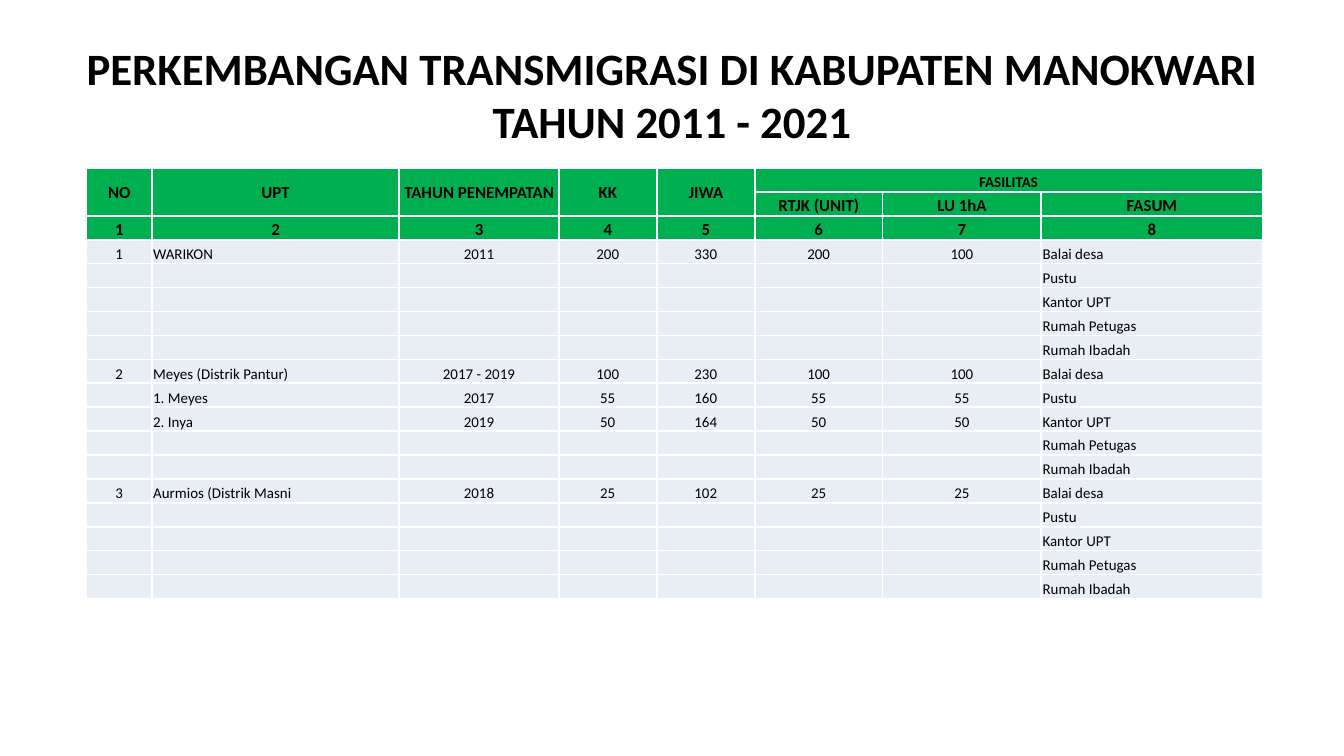
from lxml import etree
from pptx import Presentation
from pptx.dml.color import RGBColor
from pptx.enum.text import MSO_ANCHOR, MSO_AUTO_SIZE, PP_ALIGN
from pptx.oxml.ns import qn
from pptx.util import Pt

MIDDLE, BOTTOM = MSO_ANCHOR.MIDDLE, MSO_ANCHOR.BOTTOM
LEFT, CENTER = PP_ALIGN.LEFT, PP_ALIGN.CENTER
NO_FIT = MSO_AUTO_SIZE.NONE

TITLE = "PERKEMBANGAN TRANSMIGRASI DI KABUPATEN MANOKWARI TAHUN 2011 - 2021"
HEADS = ["NO", "UPT", "TAHUN PENEMPATAN", "KK", "JIWA"]
GROUP = "FASILITAS"
SUBS = ["RTJK (UNIT)", "LU 1hA", "FASUM"]
FASUM = ["Balai desa", "Pustu", "Kantor UPT", "Rumah Petugas", "Rumah Ibadah"]
# Each unit: rows of no, UPT, year, KK, jiwa, RTJK, LU
UNITS = [
    [("1", "WARIKON", "2011", "200", "330", "200", "100")],
    [("2", "Meyes (Distrik Pantur)", "2017 - 2019", "100", "230", "100", "100"),
     ("", "1. Meyes", "2017", "55", "160", "55", "55"),
     ("", "2. Inya", "2019", "50", "164", "50", "50")],
    [("3", "Aurmios (Distrik Masni", "2018", "25", "102", "25", "25")],
]

WIDTHS = [35, 132.5, 85.5, 52.5, 52.5, 68.5, 85, 118.5]
TOP, SIDE, ROW = 90, 46.4, 12.84
LEFT_COLS = (1, 7)
THEME = {
    "font": "Calibri", "ink": "000000", "head": "00B050",
    "body": "E9EDF4", "rule": "FFFFFF",
    "title": 24, "label": 9, "text": 8,
}


def color(name):
    return RGBColor.from_string(THEME[name])


def write(para, text, size, bold):
    run = para.add_run()
    run.text = text
    font = run.font
    font.name, font.size, font.bold = THEME["font"], Pt(THEME[size]), bold
    font.color.rgb = color("ink")


def border(cell):
    props = cell._tc.get_or_add_tcPr()
    for side in ("lnL", "lnR", "lnT", "lnB"):
        line = etree.SubElement(props, qn("a:" + side), w=str(Pt(1)))
        fill = etree.SubElement(line, qn("a:solidFill"))
        etree.SubElement(fill, qn("a:srgbClr"), val=THEME["rule"])


def style(cell, text, fill, size="text", bold=False, align=CENTER, anchor=BOTTOM):
    border(cell)
    cell.fill.solid()
    cell.fill.fore_color.rgb = color(fill)
    cell.margin_left = cell.margin_right = cell.margin_top = Pt(0.7)
    cell.margin_bottom = 0
    cell.vertical_anchor = anchor
    para = cell.text_frame.paragraphs[0]
    para.alignment = align
    if text:
        write(para, text, size, bold)
    else:  # keeps an empty row from growing
        etree.SubElement(para._p, qn("a:endParaRPr"), sz=str(THEME[size] * 100))


def body_rows():
    for unit in UNITS:
        for i, place in enumerate(FASUM):
            yield (*(unit[i] if i < len(unit) else [""] * 7), place)


def add_title(slide):
    title = slide.shapes.title
    title.left, title.top = Pt(36), Pt(16.5)
    title.width, title.height = Pt(648), Pt(67.7)
    frame = title.text_frame
    frame.word_wrap, frame.auto_size = True, NO_FIT
    frame.vertical_anchor = MIDDLE
    para = frame.paragraphs[0]
    para.alignment = CENTER
    write(para, TITLE, "title", True)


def add_grid(slide):
    n = len(HEADS)
    heads = [
        HEADS + [GROUP, "", ""],
        [""] * n + SUBS,
        [str(c + 1) for c in range(len(WIDTHS))],
    ]
    rows = heads + list(body_rows())
    frame = slide.shapes.add_table(len(rows), len(WIDTHS), Pt(SIDE), Pt(TOP),
                                   Pt(sum(WIDTHS)), Pt(ROW * len(rows)))
    table = frame.table
    table.first_row = table.horz_banding = False
    for col, width in zip(table.columns, WIDTHS):
        col.width = Pt(width)
    for r, row in enumerate(rows):
        table.rows[r].height = Pt(ROW)
        for c, text in enumerate(row):
            cell = table.cell(r, c)
            if r < len(heads):
                style(cell, text, "head", "text" if text == GROUP else "label", True,
                      anchor=MIDDLE if r == 0 and c < n else BOTTOM)
            else:
                style(cell, text, "body", align=LEFT if c in LEFT_COLS else CENTER)
    for c in range(n):
        table.cell(0, c).merge(table.cell(1, c))
    table.cell(0, n).merge(table.cell(0, len(WIDTHS) - 1))


def main():
    deck = Presentation()
    deck.slide_width, deck.slide_height = Pt(720), Pt(405)
    slide = deck.slides.add_slide(deck.slide_layouts[5])
    add_title(slide)
    add_grid(slide)
    deck.save("out.pptx")


if __name__ == "__main__":
    main()
